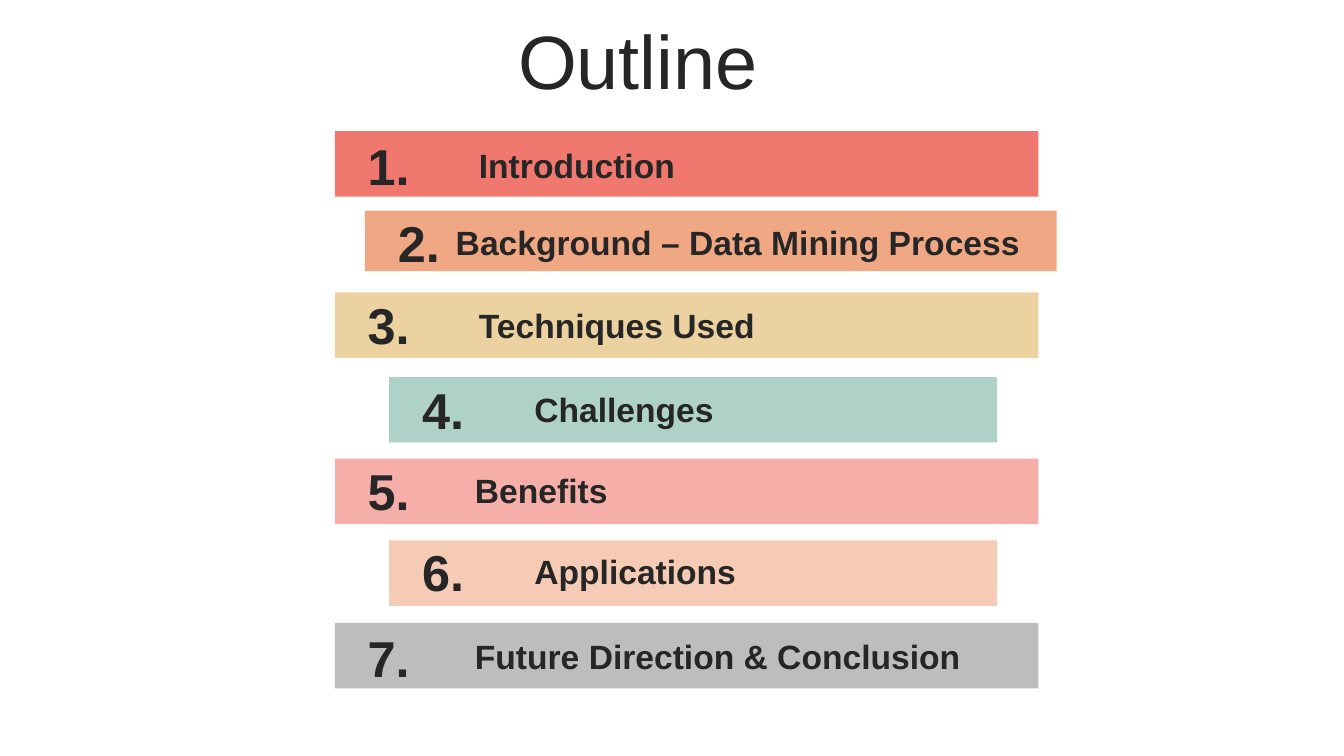
from dataclasses import dataclass

import pptx
import pptx.dml.color
import pptx.enum.shapes
import pptx.enum.text
import pptx.slide
import pptx.util

Inches = pptx.util.Inches
Align = pptx.enum.text.PP_ALIGN
Anchor = pptx.enum.text.MSO_ANCHOR


@dataclass(frozen=True)
class Theme:
    """Colours, font and type sizes of the slide."""
    font: str = "Arial"
    ink: str = "262626"
    coral: str = "F0786E"
    orange: str = "F0A884"
    sand: str = "EBD2A0"
    mint: str = "AFD2C8"
    pink: str = "F6AEA8"
    peach: str = "F6CBB5"
    grey: str = "BDBDBD"
    title_size: int = 54
    number_size: int = 36
    topic_size: int = 24


@dataclass(frozen=True)
class Topic:
    """One outline entry with its bar and text positions in inches."""
    label: str
    colour: str
    left: float
    top: float
    width: float
    number_top: float
    label_left: float
    label_top: float
    height: float = 0.65


THEME = Theme()
TOPICS = [
    Topic("Introduction", THEME.coral, 3.32, 1.3, 6.98, 1.29, 4.63, 1.39),
    Topic("Background – Data Mining Process", THEME.orange, 3.62, 2.09, 6.86, 2.05, 4.4, 2.15, 0.6),
    Topic("Techniques Used", THEME.sand, 3.32, 2.9, 6.98, 2.87, 4.63, 2.98),
    Topic("Challenges", THEME.mint, 3.86, 3.74, 6.03, 3.71, 5.18, 3.81),
    Topic("Benefits", THEME.pink, 3.32, 4.55, 6.98, 4.52, 4.59, 4.61),
    Topic("Applications", THEME.peach, 3.86, 5.36, 6.03, 5.32, 5.18, 5.42),
    Topic("Future Direction & Conclusion", THEME.grey, 3.32, 6.18, 6.98, 6.17, 4.59, 6.26),
]


def add_text(slide: pptx.slide.Slide, text: str, left: float, top: float, width: float,
             height: float, *, size: int, bold: bool = False, align: Align = Align.LEFT,
             anchor: Anchor = Anchor.TOP, side_inset: float = 0.12) -> None:
    """Add a wrapped line of text in the theme font."""
    box = slide.shapes.add_textbox(Inches(left), Inches(top), Inches(width), Inches(height))
    frame = box.text_frame
    frame.word_wrap = True
    frame.auto_size = pptx.enum.text.MSO_AUTO_SIZE.SHAPE_TO_FIT_TEXT
    frame.vertical_anchor = anchor
    frame.margin_left = frame.margin_right = Inches(side_inset)
    frame.margin_top = frame.margin_bottom = Inches(0.05)
    paragraph = frame.paragraphs[0]
    paragraph.alignment = align
    run = paragraph.add_run()
    run.text = text
    run.font.name = THEME.font
    run.font.size = pptx.util.Pt(size)
    run.font.bold = bold
    run.font.color.rgb = pptx.dml.color.RGBColor.from_string(THEME.ink)


def add_topic(slide: pptx.slide.Slide, number: int, topic: Topic) -> None:
    """Draw one coloured bar with its number and label."""
    bar = slide.shapes.add_shape(
        pptx.enum.shapes.MSO_SHAPE.RECTANGLE,
        Inches(topic.left), Inches(topic.top), Inches(topic.width), Inches(topic.height))
    bar.shadow.inherit = False
    bar.fill.solid()
    bar.fill.fore_color.rgb = pptx.dml.color.RGBColor.from_string(topic.colour)
    bar.line.fill.background()
    add_text(slide, f"{number}.", topic.left, topic.number_top, 1.07, 0.71,
             size=THEME.number_size, bold=True, align=Align.CENTER)
    add_text(slide, topic.label, topic.label_left, topic.label_top, 5.92, 0.5,
             size=THEME.topic_size, bold=True)


def main() -> None:
    """Build the outline slide and save it."""
    deck = pptx.Presentation()
    deck.slide_width, deck.slide_height = Inches(13.33), Inches(7.5)
    slide = deck.slides.add_slide(deck.slide_layouts[6])
    add_text(slide, "Outline", 5.04, 0.08, 2.93, 1.02, size=THEME.title_size,
             anchor=Anchor.MIDDLE, side_inset=0.1)
    for number, topic in enumerate(TOPICS, start=1):
        add_topic(slide, number, topic)
    deck.save("out.pptx")


if __name__ == "__main__":
    main()
